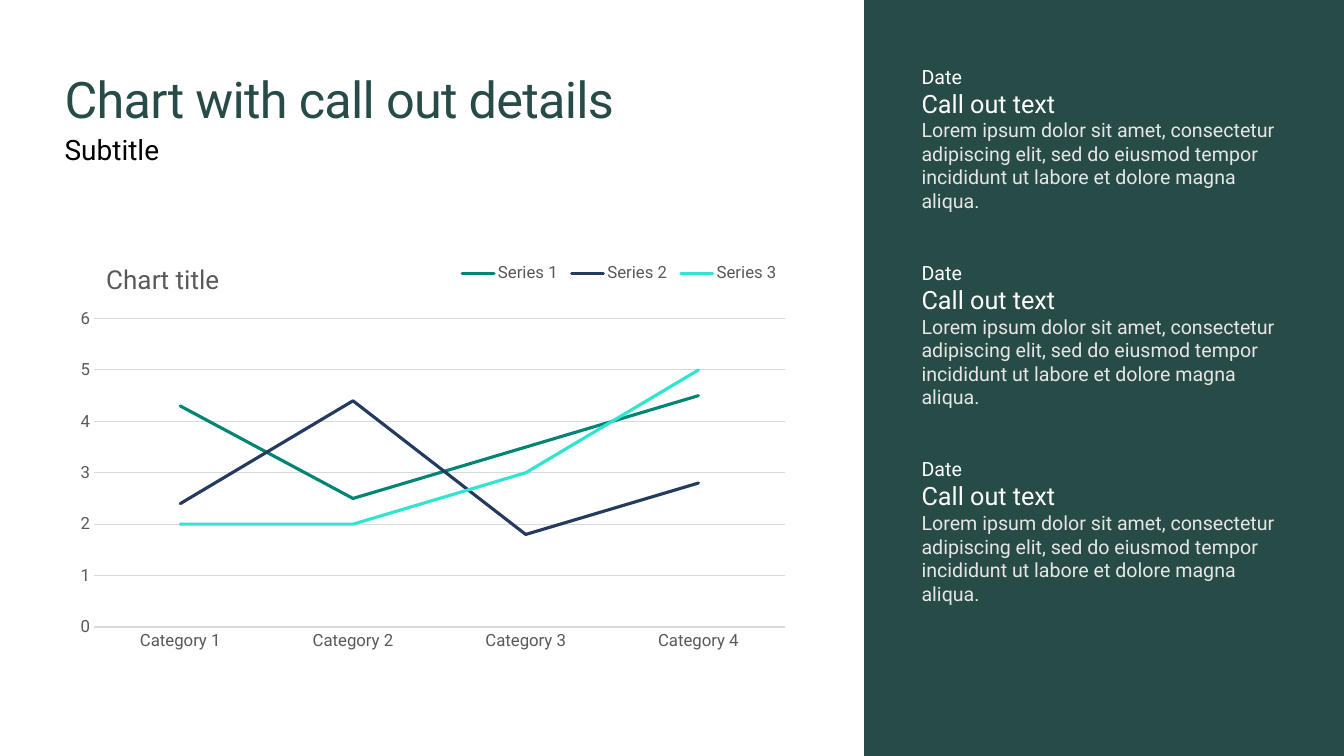
from pptx import Presentation
from pptx.chart.data import CategoryChartData
from pptx.dml.color import RGBColor
from pptx.enum.chart import XL_CHART_TYPE, XL_LEGEND_POSITION, XL_TICK_MARK
from pptx.enum.shapes import MSO_SHAPE
from pptx.enum.text import MSO_ANCHOR
from pptx.oxml.ns import qn
from pptx.util import Inches, Pt
from lxml import etree

LINE = XL_CHART_TYPE.LINE
BOTTOM = XL_LEGEND_POSITION.BOTTOM
NO_TICK = XL_TICK_MARK.NONE
RECT = MSO_SHAPE.RECTANGLE
TOP, MIDDLE = MSO_ANCHOR.TOP, MSO_ANCHOR.MIDDLE

FONT = "Roboto"
COLORS = {"panel": "274B47", "white": "FFFFFF", "pale": "E6E6E6",
          "black": "000000", "gray": "595959", "grid": "D9D9D9"}

TITLE = "Chart with call out details"
SUBTITLE = "Subtitle"
LOREM = ("Lorem ipsum dolor sit amet, consectetur adipiscing elit, sed do "
         "eiusmod tempor incididunt ut labore et dolore magna aliqua.")
CALLOUTS = [("Date", "Call out text", LOREM)] * 3
STYLES = [(14, "white"), (18, "white"), (14, "pale")]

CHART_TITLE = "Chart title"
GROUPS = ["Category 1", "Category 2", "Category 3", "Category 4"]
SERIES = [("Series 1", (4.3, 2.5, 3.5, 4.5), "008575"),
          ("Series 2", (2.4, 4.4, 1.8, 2.8), "243A5E"),
          ("Series 3", (2, 2, 3, 5), "30E5D0")]

WIDTH, HEIGHT = 13.33, 7.5
MARGIN = 0.64
PANEL = 8.57


def rgb(name):
    return RGBColor.from_string(COLORS.get(name, name))


def style(font, size, color):
    font.name = FONT
    font.size = Pt(size)
    font.bold = False
    font.color.rgb = rgb(color)


def stroke(line, color, width):
    line.color.rgb = rgb(color)
    line.width = Pt(width)


def add_text(slide, box, paras, anchor=TOP, gap=0, track=0):
    frame = slide.shapes.add_textbox(*map(Inches, box)).text_frame
    frame.word_wrap = True
    frame.vertical_anchor = anchor
    frame.margin_left = frame.margin_right = 0
    frame.margin_top = frame.margin_bottom = 0
    for i, lines in enumerate(paras):
        para = frame.add_paragraph() if i else frame.paragraphs[0]
        para.space_before = Pt(gap if i else 0)
        for j, (text, size, color) in enumerate(lines):
            if j:
                para.add_line_break()
            run = para.add_run()
            run.text = text
            style(run.font, size, color)
            if track:
                run.font._element.set("spc", str(track))


def place(node, index, inner=False, **spots):
    layout = node.find(qn("c:layout"))
    if layout is None:
        layout = etree.Element(qn("c:layout"))
        node.insert(index, layout)
    manual = etree.SubElement(layout, qn("c:manualLayout"))
    parts = [("layoutTarget", "inner")] if inner else []
    parts += [("xMode", "edge"), ("yMode", "edge")] + list(spots.items())
    for name, value in parts:
        etree.SubElement(manual, qn("c:" + name)).set("val", str(value))


def add_lines(slide, box):
    data = CategoryChartData()
    data.categories = GROUPS
    for name, values, _ in SERIES:
        data.add_series(name, values)
    chart = slide.shapes.add_chart(LINE, *map(Inches, box), data).chart
    style(chart.font, 12, "gray")

    chart.has_title = True
    title = chart.chart_title
    title.include_in_layout = False
    title.text_frame.text = CHART_TITLE
    style(title.text_frame.paragraphs[0].runs[0].font, 18.6, "gray")
    place(title._element, 1, x=0.05, y=0.04)

    chart.has_legend = True
    legend = chart.legend
    legend.position = BOTTOM
    legend.include_in_layout = False
    style(legend.font, 12, "gray")
    place(legend._element, 1, x=0.53, y=0.04, w=0.45, h=0.07)

    plot = chart.plots[0]
    plot.vary_by_categories = False
    for series, (_, _, color) in zip(plot.series, SERIES):
        series.smooth = False
        stroke(series.format.line, color, 2.25)
        series.format.line._get_or_add_ln().set("cap", "rnd")
    place(chart._chartSpace.chart.plotArea, 0, inner=True,
          x=0.04, y=0.175, w=0.94, h=0.677)

    for axis in (chart.category_axis, chart.value_axis):
        axis.major_tick_mark = axis.minor_tick_mark = NO_TICK
        style(axis.tick_labels.font, 12, "gray")
    stroke(chart.category_axis.format.line, "grid", 0.75)
    scale = chart.value_axis
    scale.minimum_scale, scale.maximum_scale, scale.major_unit = 0, 6, 1
    scale.format.line.fill.background()
    stroke(scale.major_gridlines.format.line, "grid", 0.75)


def main():
    deck = Presentation()
    deck.slide_width, deck.slide_height = Inches(WIDTH), Inches(HEIGHT)
    slide = deck.slides.add_slide(deck.slide_layouts[6])

    panel = slide.shapes.add_shape(
        RECT, *map(Inches, (PANEL, 0, WIDTH - PANEL, HEIGHT)))
    panel.shadow.inherit = False
    panel.fill.solid()
    panel.fill.fore_color.rgb = rgb("panel")
    panel.line.fill.background()

    notes = [[(text, *look) for text, look in zip(call, STYLES)]
             for call in CALLOUTS]
    add_text(slide, (9.14, MARGIN, 3.55, 6.22), notes, gap=34.6)
    add_lines(slide, (MARGIN, 2.37, 7.29, 4.52))
    add_text(slide, (MARGIN, 1.31, 6.66, 0.44), [[(SUBTITLE, 20, "black")]])
    add_text(slide, (MARGIN, MARGIN, 6.66, 0.67), [[(TITLE, 36, "panel")]],
             anchor=MIDDLE, track=-50)
    deck.save("out.pptx")


if __name__ == "__main__":
    main()
